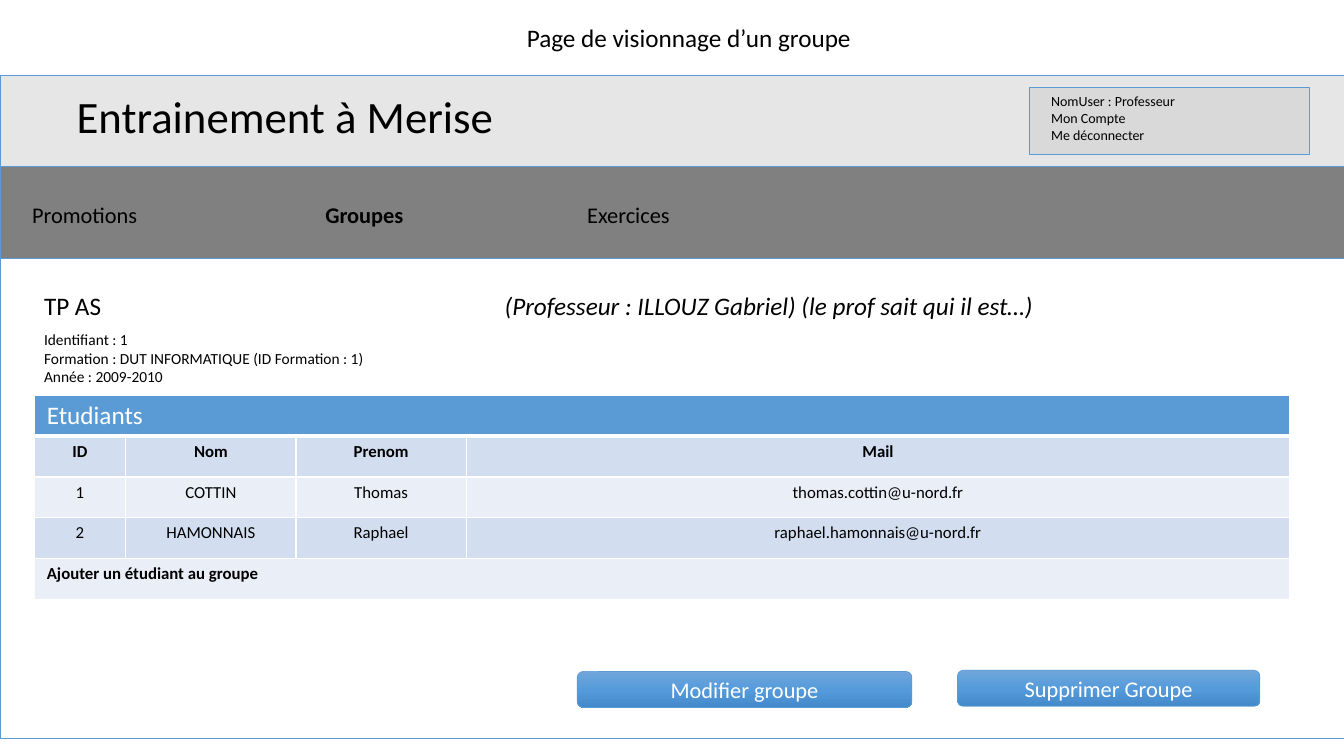
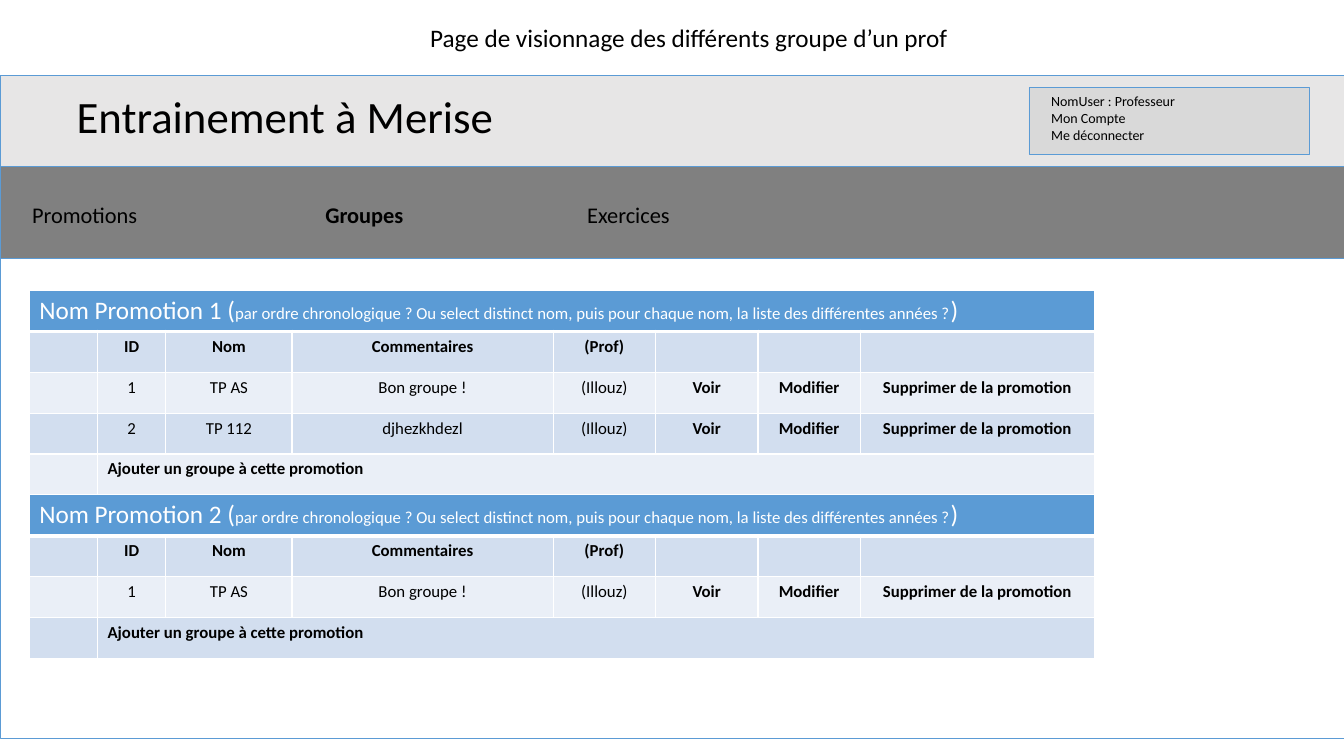
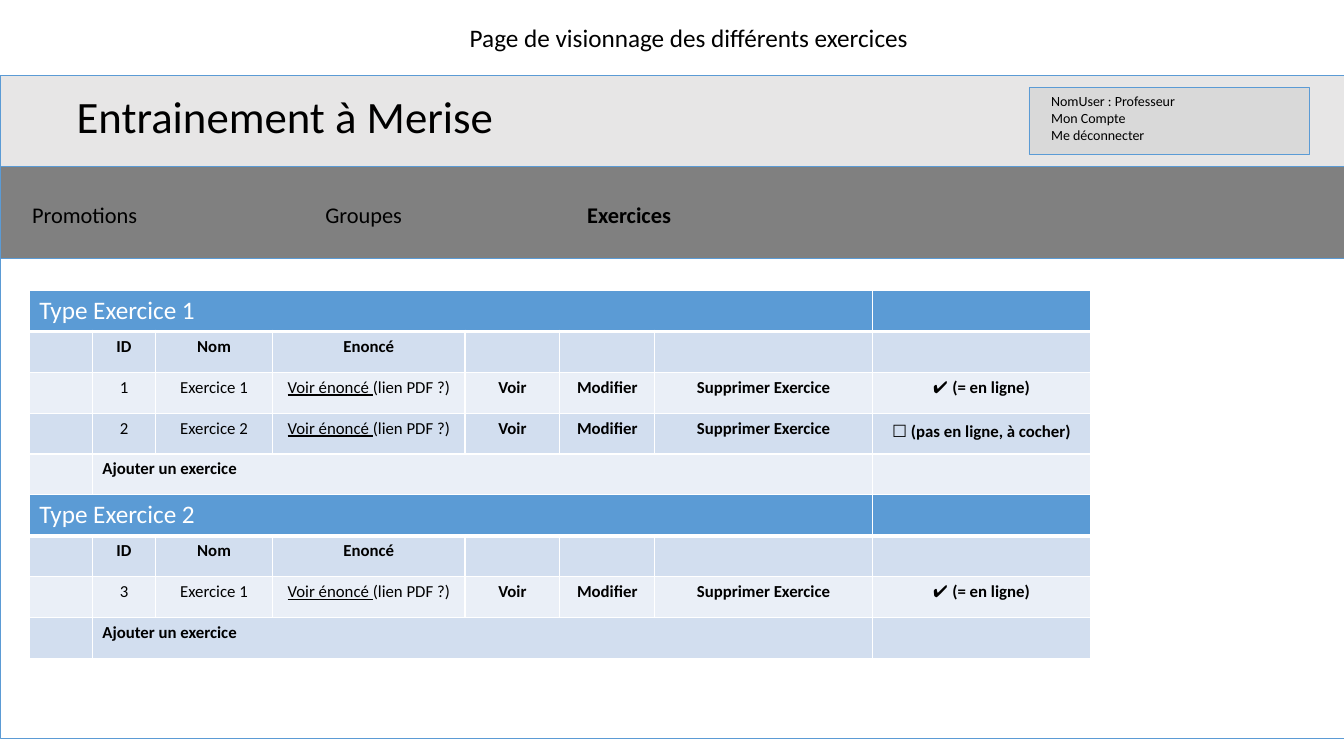
import copy

import lxml.etree
import pptx
import pptx.dml.color
import pptx.enum.shapes
import pptx.enum.text
import pptx.oxml.ns
import pptx.util

Cm = pptx.util.Cm
Pt = pptx.util.Pt
qn = pptx.oxml.ns.qn
SHAPE = pptx.enum.shapes.MSO_SHAPE
ALIGN = pptx.enum.text.PP_ALIGN
ANCHOR = pptx.enum.text.MSO_ANCHOR

FONT = "Calibri"
COLORS = {
    "text": "000000",
    "white": "FFFFFF",
    "accent": "5B9BD5",
    "header": "E7E6E6",
    "nav": "808080",
    "user": "D9D9D9",
    "row_dark": "D2DEEF",
    "row_light": "EAEFF7",
    "button_top": "71A6DB",
    "button_mid": "559BDB",
    "button_low": "448ACA",
}
WIDTH, HEIGHT = 33.87, 19.05
ROW_HEIGHT = 1.03
TABLE_LEFT, TABLE_TOP = 0.74, 7.32
NAV = [("Promotions", 0.56, 8.41), ("Groupes", 7.95, 6.2), ("Exercices", 14.55, 7.54)]


def rgb(name):
    return pptx.dml.color.RGBColor.from_string(COLORS[name])


# Text: a paragraph is a string or a list of (text, font settings) runs
def write(tf, paragraphs, size, color="text", bold=False, italic=False, align=ALIGN.LEFT):
    for i, content in enumerate(paragraphs):
        p = tf.add_paragraph() if i else tf.paragraphs[0]
        p.alignment = align
        p.font.name = FONT
        p.font.size = Pt(size)
        p.font.bold = bold
        p.font.italic = italic
        p.font.color.rgb = rgb(color)
        runs = [(content, {})] if isinstance(content, str) else content
        for text, settings in runs:
            r = p.add_run()
            r.text = text
            for key, value in settings.items():
                setattr(r.font, key, value)


def add_text(slide, left, top, width, height, paragraphs, size, **style):
    tf = slide.shapes.add_textbox(Cm(left), Cm(top), Cm(width), Cm(height)).text_frame
    tf.word_wrap = True
    write(tf, paragraphs, size, **style)


def add_box(slide, left, top, width, height, fill=None, kind=SHAPE.RECTANGLE):
    sp = slide.shapes.add_shape(kind, Cm(left), Cm(top), Cm(width), Cm(height))
    sp.shadow.inherit = False
    sp.line.color.rgb = rgb("accent")
    sp.line.width = Pt(0.5)
    if fill:
        sp.fill.solid()
        sp.fill.fore_color.rgb = rgb(fill)
    else:
        sp.fill.background()
    return sp


def add_button(slide, left, top, width, label):
    sp = add_box(slide, left, top, width, 0.91, kind=SHAPE.ROUNDED_RECTANGLE)
    sp.fill.gradient()
    sp.fill.gradient_angle = 270
    stops = sp.element.spPr.find(".//" + qn("a:gsLst"))
    stops.append(copy.deepcopy(stops[0]))
    names = ("button_top", "button_mid", "button_low")
    for i, (stop, name) in enumerate(zip(sp.fill.gradient_stops, names)):
        stop.position = i / 2
        stop.color.rgb = rgb(name)
    sp.text_frame.vertical_anchor = ANCHOR.MIDDLE
    write(sp.text_frame, [label], 16, color="white", align=ALIGN.CENTER)


# Tables: title row, column names, records, then a row for adding a record
def format_cell(cell, fill, bottom_width=1):
    tcPr = cell._tc.get_or_add_tcPr()
    for side, width in (("L", 1), ("R", 1), ("T", 1), ("B", bottom_width)):
        ln = lxml.etree.SubElement(tcPr, qn("a:ln" + side), w=str(Pt(width)))
        solid = lxml.etree.SubElement(ln, qn("a:solidFill"))
        lxml.etree.SubElement(solid, qn("a:srgbClr"), val=COLORS["white"])
    cell.fill.solid()
    cell.fill.fore_color.rgb = rgb(fill)


def add_list(slide, left, top, widths, title, names, records, add_label,
             label_col, span, bold_from, margin=0.25):
    count = len(widths)
    label_row = [""] * label_col + [add_label] + [""] * (count - label_col - 1)
    rows = [[title] + [""] * (count - 1), names, *records, label_row]
    last = len(rows) - 1
    table = slide.shapes.add_table(
        len(rows), count, Cm(left), Cm(top), Cm(sum(widths)), Cm(ROW_HEIGHT * len(rows))
    ).table
    table.first_row = False
    table.horz_banding = False
    for column, width in zip(table.columns, widths):
        column.width = Cm(width)
    for i, row in enumerate(rows):
        table.rows[i].height = Cm(ROW_HEIGHT)
        for j, content in enumerate(row):
            cell = table.cell(i, j)
            cell.margin_left = cell.margin_right = Cm(margin)
            if i == 0:
                format_cell(cell, "accent", bottom_width=3)
            else:
                format_cell(cell, "row_dark" if i % 2 else "row_light")
            if not content:
                continue
            if i == 0:
                write(cell.text_frame, [content], 18, color="white")
            else:
                write(cell.text_frame, [content], 12,
                      bold=i in (1, last) or j >= bold_from,
                      align=ALIGN.LEFT if i == last else ALIGN.CENTER)
    table.cell(0, 0).merge(table.cell(0, span - 1))
    table.cell(last, label_col).merge(table.cell(last, span - 1))


def add_stacked_lists(slide, widths, names, groups, **options):
    top = TABLE_TOP
    for title, records in groups:
        add_list(slide, TABLE_LEFT, top, widths, title, names, records,
                 label_col=1, **options)
        top += ROW_HEIGHT * (len(records) + 3)


# Page frame shared by all slides
def add_page(prs, title, active):
    slide = prs.slides.add_slide(prs.slide_layouts[5])
    sp = slide.shapes.title
    sp.left, sp.top, sp.width, sp.height = Cm(6.5), Cm(0.43), Cm(21.72), Cm(1.02)
    sp.text_frame.vertical_anchor = ANCHOR.TOP
    write(sp.text_frame, [title], 18, align=ALIGN.CENTER)

    add_box(slide, 0, 4.19, WIDTH, 2.31, "nav")
    add_box(slide, 0, 1.9, WIDTH, 2.29, "header")
    add_text(slide, 1.68, 2.11, 14.96, 1.63, ["Entrainement à Merise"], 32)
    add_box(slide, 25.93, 2.21, 7.06, 1.68, "user")
    add_text(slide, 26.24, 2.21, 5.79, 1.55,
             ["NomUser : Professeur", "Mon Compte", "Me déconnecter"], 10)
    for label, left, width in NAV:
        add_text(slide, left, 4.95, width, 0.94, [label], 16, bold=label == active)
    add_box(slide, 0, 6.5, WIDTH, 12.12)
    return slide


def build_group(prs):
    slide = add_page(prs, "Page de visionnage d’un groupe", "Groupes")
    add_text(slide, 0.86, 7.19, 9.22, 1.02, ["TP AS"], 18)
    add_text(slide, 0.86, 8.2, 12.14, 1.68,
             ["Identifiant : 1", "Formation : DUT INFORMATIQUE (ID Formation : 1)",
              "Année : 2009-2010"], 11)
    add_text(slide, 12.47, 7.19, 15.29, 1.02,
             ["(Professeur : ILLOUZ Gabriel) (le prof sait qui il est…)"], 18, italic=True)
    add_list(slide, 0.86, 9.96, [2.31, 4.29, 4.29, 20.75], "Etudiants",
             ["ID", "Nom", "Prenom", "Mail"],
             [["1", "COTTIN", "Thomas", "thomas.cottin@u-nord.fr"],
              ["2", "HAMONNAIS", "Raphael", "raphael.hamonnais@u-nord.fr"]],
             "Ajouter un étudiant au groupe", label_col=0, span=4, bold_from=4, margin=0.32)
    add_button(slide, 14.55, 16.92, 8.43, "Modifier groupe")
    add_button(slide, 24.13, 16.89, 7.62, "Supprimer Groupe")


def build_groups(prs):
    slide = add_page(prs, "Page de visionnage des différents groupe d’un prof", "Groupes")
    question = ("par ordre chronologique ? Ou select distinct nom, puis pour chaque nom, "
                "la liste des différentes années ?")

    def title(number):
        return [(f"Nom Promotion {number} (", {}), (question, {"size": Pt(12)}), (")", {})]

    def record(number, name, comment):
        return ["", number, name, comment, "(Illouz)",
                "Voir", "Modifier", "Supprimer de la promotion"]

    first = record("1", "TP AS", "Bon groupe !")
    add_stacked_lists(
        slide, [1.72, 1.72, 3.18, 6.58, 2.58, 2.58, 2.58, 5.9],
        ["", "ID", "Nom", "Commentaires", "(Prof)", "", "", ""],
        [(title(1), [first, record("2", "TP 112", "djhezkhdezl")]), (title(2), [first])],
        add_label="Ajouter un groupe à cette promotion", span=8, bold_from=5)


def build_exercises(prs):
    slide = add_page(prs, "Page de visionnage des différents exercices", "Exercices")
    online = [("✔ ", {"name": "Arial"}), ("(= en ligne)", {})]
    offline = [("☐", {"name": "Noto Sans CJK JP"}), (" (pas en ligne, à cocher)", {})]
    statement = [("Voir énoncé ", {"underline": True}), ("(lien PDF ?)", {})]

    def record(number, name, status):
        return ["", number, name, statement, "Voir", "Modifier", "Supprimer Exercice", status]

    add_stacked_lists(
        slide, [1.59, 1.59, 2.95, 4.85, 2.39, 2.39, 5.49, 5.49],
        ["", "ID", "Nom", "Enoncé", "", "", "", ""],
        [("Type Exercice 1", [record("1", "Exercice 1", online),
                              record("2", "Exercice 2", offline)]),
         ("Type Exercice 2", [record("3", "Exercice 1", online)])],
        add_label="Ajouter un exercice", span=7, bold_from=4)


def main():
    prs = pptx.Presentation()
    prs.slide_width, prs.slide_height = Cm(WIDTH), Cm(HEIGHT)
    build_group(prs)
    build_groups(prs)
    build_exercises(prs)
    prs.save("out.pptx")


if __name__ == "__main__":
    main()
